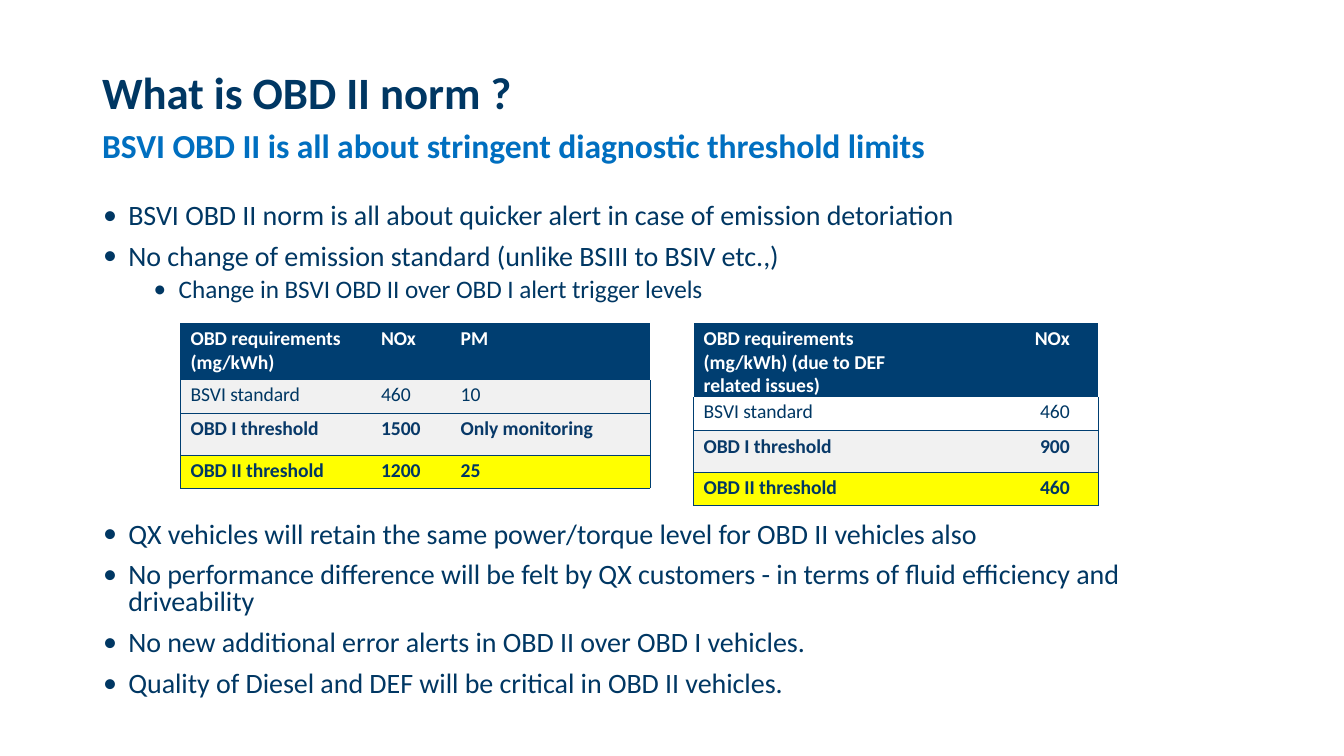
from lxml import etree
from pptx import Presentation
from pptx.dml.color import RGBColor
from pptx.enum.text import PP_ALIGN
from pptx.oxml.ns import qn
from pptx.util import Inches, Pt

LEFT, RIGHT = PP_ALIGN.LEFT, PP_ALIGN.RIGHT
FONT = "Calibri"
PLAIN_TABLE = "{2D5ABB26-0587-4C30-8999-92F81FD0307C}"
COLORS = {
    "navy": "003763",
    "threshold": "083968",
    "blue": "006FC0",
    "header": "003E71",
    "grey": "F1F1F1",
    "yellow": "FFFF00",
    "white": "FFFFFF",
}

deck = Presentation()
deck.slide_width, deck.slide_height = Inches(13.33), Inches(7.5)
slide = deck.slides.add_slide(deck.slide_layouts[6])
X, Y = deck.slide_width / 100, deck.slide_height / 100


def write(paragraph, text, size, color, bold=False, bullet_indent=None, **layout):
    if bullet_indent:
        properties = paragraph._p.get_or_add_pPr()
        properties.set("marL", str(Inches(bullet_indent)))
        properties.set("indent", str(Inches(-0.25)))
        etree.SubElement(properties, qn("a:buFont")).set("typeface", FONT)
        etree.SubElement(properties, qn("a:buChar")).set("char", "•")
    for name, value in layout.items():
        setattr(paragraph, name, value)
    run = paragraph.add_run()
    run.text = text
    for name, value in {"name": FONT, "size": Pt(size), "bold": bold}.items():
        setattr(run.font, name, value)
    run.font.color.rgb = RGBColor.from_string(COLORS[color])
    run.font._element.set("spc", "-5")


def add_border(cell, side):
    line = etree.SubElement(cell._tc.get_or_add_tcPr(), qn(f"a:ln{side}"), w=str(Pt(0.5)))
    fill = etree.SubElement(line, qn("a:solidFill"))
    etree.SubElement(fill, qn("a:srgbClr"), val=COLORS["header"])


heading = {"size": 32, "color": "navy", "bold": True}
subheading = {"size": 24, "color": "blue", "bold": True}
point = {"size": 20, "color": "navy", "bullet_indent": 0.26}
subpoint = {"size": 18, "color": "navy", "bullet_indent": 0.76}

text_blocks = [
    ((7.6, 8.4, 32, 7.47), 0.01, [
        ("What is OBD II norm ?", heading, {}),
    ]),
    ((7.6, 16.4, 64.27, 24.13), 0.01, [
        ("BSVI OBD II is all about stringent diagnostic threshold limits", subheading, {}),
        ("BSVI OBD II norm is all about quicker alert in case of emission detoriation",
         point, {"space_before": Pt(23.2)}),
        ("No change of emission standard (unlike BSIII to BSIV etc.,)",
         point, {"space_before": Pt(5.2)}),
        ("Change in BSVI OBD II over OBD I alert trigger levels",
         subpoint, {"space_before": Pt(0.8)}),
    ]),
    ((7.6, 67.07, 76.27, 25.6), 0.09, [
        ("QX vehicles will retain the same power/torque level for OBD II vehicles also", point, {}),
        ("No performance difference will be felt by QX customers - in terms of fluid "
         "efficiency and driveability",
         point, {"space_before": Pt(9.8), "line_spacing": Pt(19.2)}),
        ("No new additional error alerts in OBD II over OBD I vehicles.",
         point, {"space_before": Pt(5.4)}),
        ("Quality of Diesel and DEF will be critical in OBD II vehicles.",
         point, {"space_before": Pt(5.2)}),
    ]),
]

for (left, top, width, height), top_inset, lines in text_blocks:
    block = slide.shapes.add_textbox(
        round(left * X), round(top * Y), round(width * X), round(height * Y))
    frame = block.text_frame
    insets = {"margin_left": 0, "margin_right": 0, "margin_bottom": 0,
              "margin_top": Inches(top_inset), "word_wrap": True}
    for name, value in insets.items():
        setattr(frame, name, value)
    for index, (text, style, layout) in enumerate(lines):
        paragraph = frame.paragraphs[0] if index == 0 else frame.add_paragraph()
        write(paragraph, text, **style, **layout)

row_heights = [7.6, 4.4, 5.5, 4.4]
row_styles = [
    ("white", True, "header", 0.04),
    ("navy", False, "grey", 0.03),
    ("threshold", True, "grey", 0.04),
    ("navy", True, "yellow", 0.04),
]
row_labels = ["BSVI standard", "OBD I threshold", "OBD II threshold"]

limit_tables = [
    (13.43, [(13.5, 0.1, 0, LEFT), (5.85, 0.19, 0, LEFT), (15.6, 0.2, 0, LEFT)],
     [["OBD requirements\n(mg/kWh)", *row_labels],
      ["NOx", "460", "1500", "1200"],
      ["PM", "10", "Only monitoring", "25"]], set()),
    (51.6, [(22, 0.1, 0.8, LEFT), (8.1, 0, 0.28, RIGHT)],
     [["OBD requirements (mg/kWh) (due to DEF related issues)", *row_labels],
      ["NOx", "460", "900", "460"]], {1}),
]

for left, columns, contents, unfilled_rows in limit_tables:
    table = slide.shapes.add_table(
        len(row_heights), len(columns), round(left * X), round(42.67 * Y),
        round(sum(column[0] for column in columns) * X), round(sum(row_heights) * Y)).table
    table._tbl.tblPr[0].text = PLAIN_TABLE
    table.first_row = table.horz_banding = False
    for row, height in zip(table.rows, row_heights):
        row.height = round(height * Y)
    for c, (width, left_inset, right_inset, alignment) in enumerate(columns):
        table.columns[c].width = round(width * X)
        for r, (color, bold, background, top_inset) in enumerate(row_styles):
            cell = table.cell(r, c)
            insets = {"margin_left": left_inset, "margin_right": right_inset,
                      "margin_top": top_inset, "margin_bottom": 0}
            for name, value in insets.items():
                setattr(cell, name, Inches(value))
            edges = {"L": r > 0 and c == 0, "R": r > 0 and c == len(columns) - 1,
                     "T": r > 1, "B": r > 0}
            for side, shown in edges.items():
                if shown:
                    add_border(cell, side)
            if r in unfilled_rows:
                cell.fill.background()
            else:
                cell.fill.solid()
                cell.fill.fore_color.rgb = RGBColor.from_string(COLORS[background])
            for index, text in enumerate(contents[c][r].split("\n")):
                frame = cell.text_frame
                paragraph = frame.paragraphs[0] if index == 0 else frame.add_paragraph()
                write(paragraph, text, 14, color, bold, alignment=alignment)

deck.save("out.pptx")
